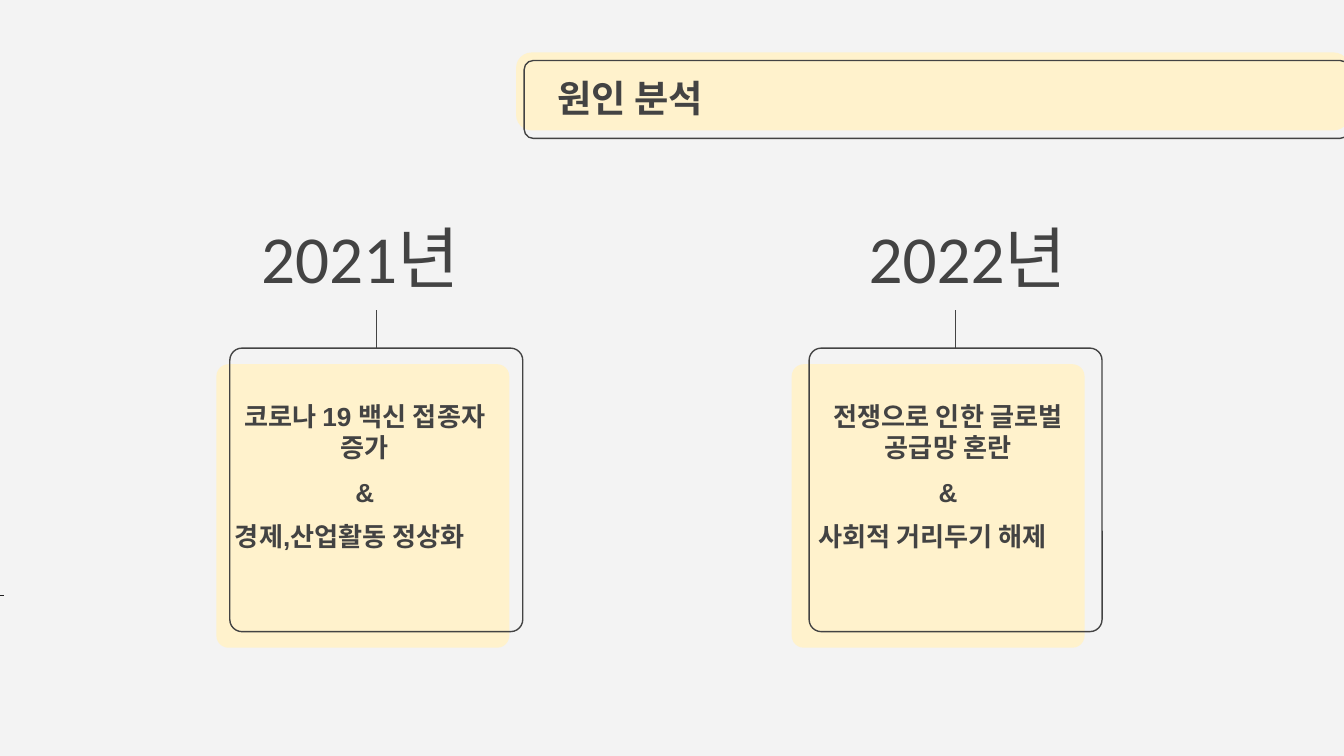
import pptx
import pptx.dml.color
import pptx.enum.shapes
import pptx.enum.text
import pptx.oxml.ns
import pptx.util
from lxml import etree

Inches = pptx.util.Inches
Pt = pptx.util.Pt
Anchor = pptx.enum.text.MSO_ANCHOR

BACKGROUND, CREAM, INK, MARK = "F3F3F3", "FFF2CC", "434343", "1F1F1F"


def colour(hex_code):
    return pptx.dml.color.RGBColor.from_string(hex_code)


class SlideBuilder:
    """Holds the shared style and the slide being drawn."""

    def __init__(self, slide):
        self.slide = slide
        self.ink = INK
        self.line_width = 0.75
        self.inset = 0.1

    def background(self, fill):
        self.slide.background.fill.solid()
        self.slide.background.fill.fore_color.rgb = colour(fill)

    def panel(self, left, top, width, height, corner, fill=None):
        """A rounded rectangle: filled without a line, or outlined only."""
        panel = self.slide.shapes.add_shape(
            pptx.enum.shapes.MSO_SHAPE.ROUNDED_RECTANGLE,
            Inches(left), Inches(top), Inches(width), Inches(height))
        panel.adjustments[0] = corner
        panel.shadow.inherit = False
        if fill:
            panel.fill.solid()
            panel.fill.fore_color.rgb = colour(fill)
            panel.line.fill.background()
        else:
            panel.fill.background()
            panel.line.color.rgb = colour(self.ink)
            panel.line.width = Pt(self.line_width)
        return panel

    def line(self, x1, y1, x2, y2, ink=None, width=None, end_panel=None):
        """A straight line, optionally joined to the top of a panel."""
        line = self.slide.shapes.add_connector(
            pptx.enum.shapes.MSO_CONNECTOR.STRAIGHT,
            Inches(x1), Inches(y1), Inches(x2), Inches(y2))
        line.line.color.rgb = colour(ink or self.ink)
        line.line.width = Pt(width or self.line_width)
        etree.SubElement(line._element.spPr, pptx.oxml.ns.qn("a:effectLst"))
        if end_panel is not None:
            line.end_connect(end_panel, 0)

    def text(self, left, top, width, height, paragraphs, size, font="Calibri",
             bold=False, anchor=Anchor.BOTTOM, gap=0, right_inset=None):
        box = self.slide.shapes.add_textbox(
            Inches(left), Inches(top), Inches(width), Inches(height))
        frame = box.text_frame
        frame.word_wrap = True
        frame.vertical_anchor = anchor
        frame.margin_left = frame.margin_top = Inches(self.inset)
        frame.margin_bottom = Inches(self.inset)
        frame.margin_right = Inches(right_inset or self.inset)
        for index, words in enumerate(paragraphs):
            paragraph = frame.add_paragraph() if index else frame.paragraphs[0]
            paragraph.alignment = pptx.enum.text.PP_ALIGN.CENTER
            if index and gap:
                paragraph.space_before = Pt(gap)
            run = paragraph.add_run()
            run.text = words
            run.font.size = Pt(size)
            run.font.name = font
            run.font.bold = bold
            run.font.color.rgb = colour(self.ink)


def main():
    deck = pptx.Presentation()
    deck.slide_width = Inches(10)
    deck.slide_height = Inches(10) * 9 // 16
    builder = SlideBuilder(deck.slides.add_slide(deck.slide_layouts[6]))
    builder.background(BACKGROUND)

    # Header band, running off the right edge
    builder.panel(3.84, 0.39, 6.2, 0.58, 0.199, CREAM)
    builder.panel(3.9, 0.45, 6.14, 0.58, 0.119)
    builder.text(2.85, 0.55, 3.68, 0.44, ["원인 분석"], 20, bold=True)

    # Short mark at the left edge
    builder.line(0, 4.43, 0.03, 4.43, MARK, 0.3)

    # One card per year: cream left, outline left, year box, causes left
    card_width, card_height, corner = 2.18, 2.11, 0.043
    years = [
        ("2021년", 1.61, 1.71, 1.78, 1.8, 1.65,
         ["코로나 19 백신 접종자 증가", "&", "경제,산업활동 정상화\t"]),
        ("2022년", 5.89, 6.02, 6.32, 1.76, 5.99,
         ["전쟁으로 인한 글로벌 공급망 혼란", "&", "사회적 거리두기 해제\t"]),
    ]
    for (year, cream_left, outline_left, year_left, year_width,
         causes_left, causes) in years:
        builder.panel(cream_left, 2.71, card_width, card_height, corner, CREAM)
        outline = builder.panel(outline_left, 2.59, card_width, card_height, corner)
        middle = outline_left + card_width / 2
        builder.line(middle, 2.31, middle, 2.59, end_panel=outline)
        builder.text(year_left, 1.44, year_width, 0.87, [year], 36)
        builder.text(causes_left, 2.88, 2.21, 1.83, causes, 14, font="Arial",
                     bold=True, anchor=Anchor.TOP, gap=7, right_inset=0.18)

    deck.save("out.pptx")


if __name__ == "__main__":
    main()
